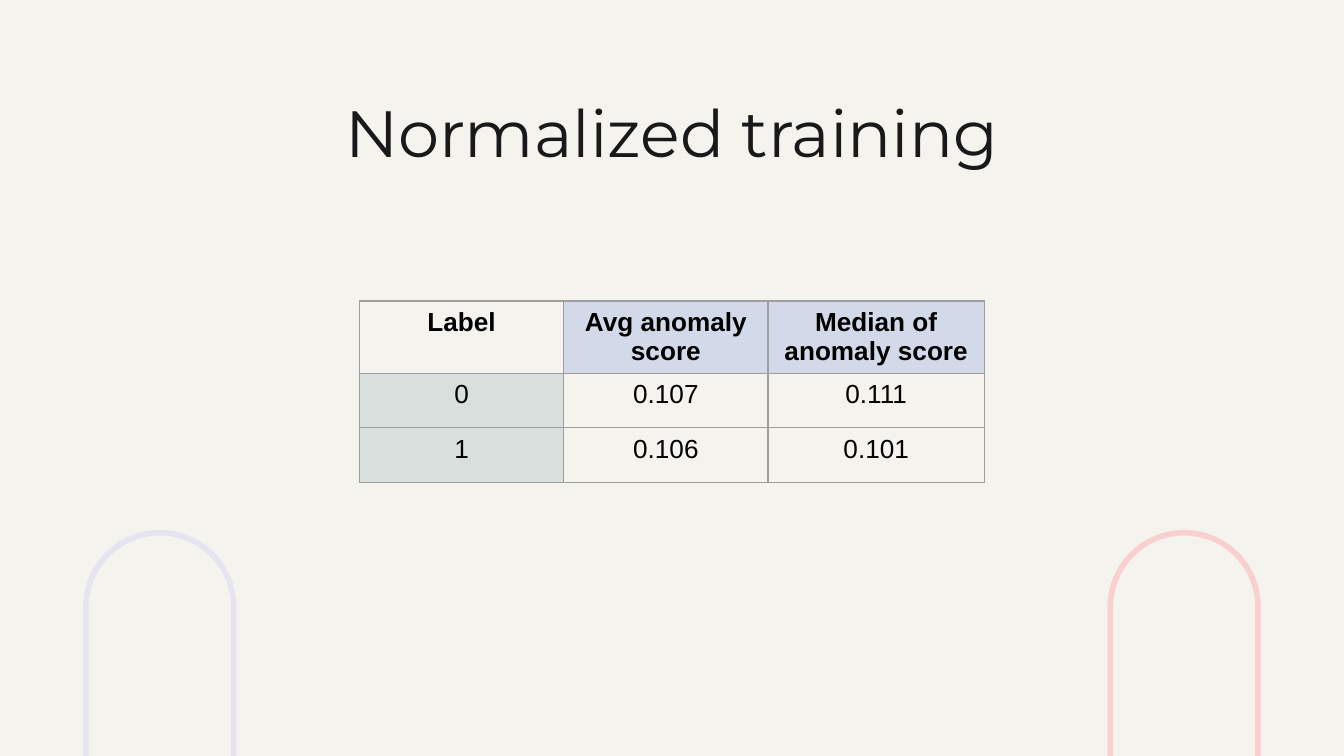
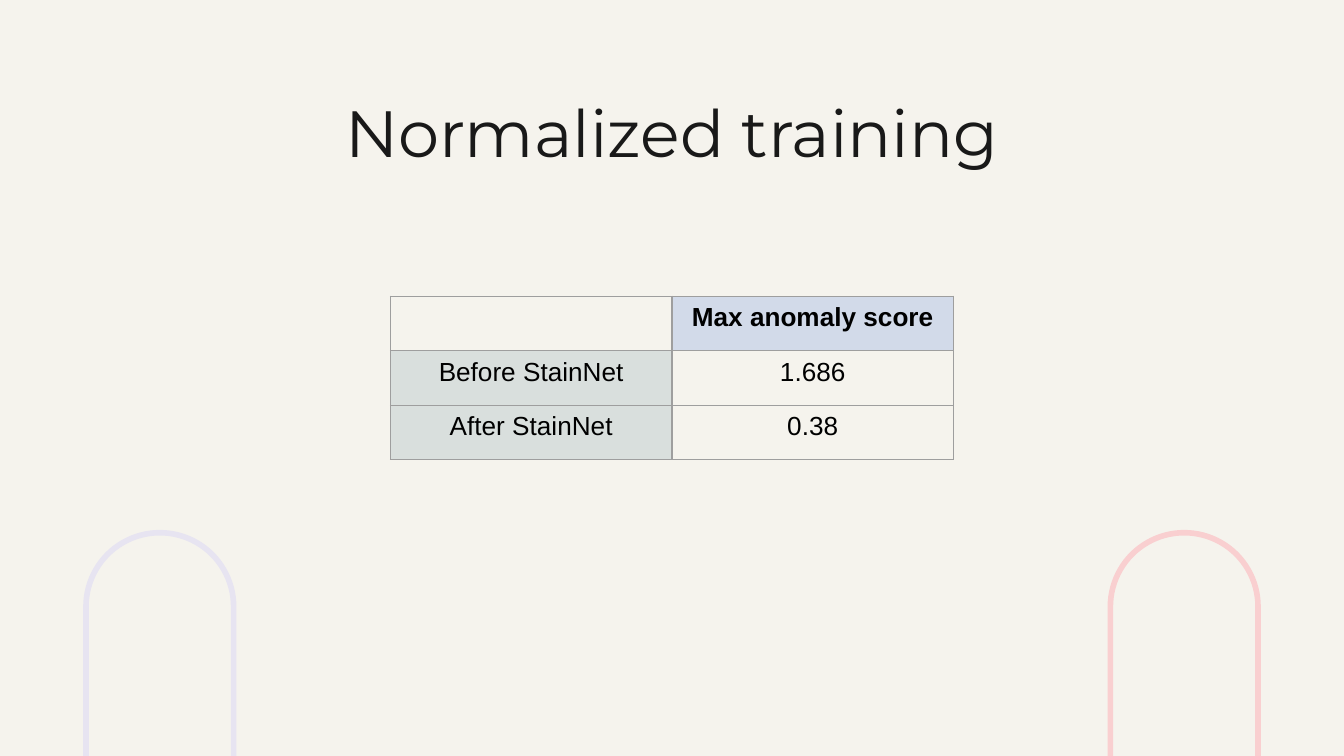
"""Build two slides of anomaly score tables for normalized training."""
from lxml import etree
from pptx import Presentation
from pptx.dml.color import RGBColor
from pptx.enum import shapes, text
from pptx.oxml import ns
from pptx.util import Cm, Pt

PAPER = RGBColor(0xF5, 0xF3, 0xED)
INK = RGBColor(0x19, 0x19, 0x19)
BLACK = RGBColor(0x00, 0x00, 0x00)
LILAC = RGBColor(0xE7, 0xE4, 0xF1)
PINK = RGBColor(0xF9, 0xCF, 0xD0)
BLUE = RGBColor(0xD2, 0xDA, 0xE9)
SAGE = RGBColor(0xD9, 0xDF, 0xDD)
GREY = RGBColor(0x9E, 0x9E, 0x9E)
WIDE, HIGH = 25.4, 14.29


class Deck:
    """Hold the style and the current slide."""

    def __init__(self):
        self.prs = Presentation()
        self.prs.slide_width, self.prs.slide_height = Cm(WIDE), Cm(HIGH)
        fill = self.prs.slide_master.background.fill
        fill.solid()
        fill.fore_color.rgb = PAPER

    def slide(self, title):
        """Start a slide with its arches and title."""
        self.page = self.prs.slides.add_slide(self.prs.slide_layouts[5])
        self.arch(3.02, LILAC)
        self.arch(WIDE - 3.02, PINK)
        self.title(title)

    def arch(self, mid, color):
        """Draw an upright pill that runs off the bottom edge."""
        long, thick = 7.09, 2.79
        pill = self.page.shapes.add_shape(
            shapes.MSO_SHAPE.ROUNDED_RECTANGLE,
            Cm(mid - long / 2), Cm(12.22), Cm(long), Cm(thick))
        pill.adjustments[0] = 0.5
        pill.rotation = 90
        pill.shadow.inherit = False
        pill.fill.background()
        pill.line.color.rgb = color
        pill.line.width = Pt(3)

    def title(self, words):
        """Fill the title placeholder."""
        box = self.page.shapes.title
        box.left, box.top, box.width, box.height = Cm(2), Cm(1.5), Cm(21.4), Cm(1.6)
        frame = box.text_frame
        frame.text = words
        frame.auto_size = text.MSO_AUTO_SIZE.NONE
        frame.vertical_anchor = text.MSO_ANCHOR.TOP
        frame.margin_left = frame.margin_right = Cm(0.25)
        frame.margin_top = frame.margin_bottom = Cm(0.25)
        self.format(frame, "Montserrat", 35, INK)

    def format(self, frame, name, size, color, bold=False):
        """Centre the text and set its font."""
        for para in frame.paragraphs:
            para.alignment = text.PP_ALIGN.CENTER
            for run in para.runs:
                font = run.font
                font.name, font.size, font.bold = name, Pt(size), bold
                font.color.rgb = color

    def table(self, top, cols, rows):
        """Add a centred table with a head row and a label column."""
        tall, width = 1.03, sum(cols)
        grid = self.page.shapes.add_table(
            len(rows), len(cols), Cm((WIDE - width) / 2), Cm(top),
            Cm(width), Cm(tall * len(rows))).table
        grid.first_row = grid.horz_banding = False
        for col, size in zip(grid.columns, cols):
            col.width = Cm(size)
        for r, row in enumerate(rows):
            grid.rows[r].height = Cm(tall)
            for c, words in enumerate(row):
                cell = grid.cell(r, c)
                cell.text = words
                self.format(cell.text_frame, "Arial", 14, BLACK, r == 0)
                self.border(cell)
                if (r == 0) == (c == 0):
                    cell.fill.background()
                else:
                    cell.fill.solid()
                    cell.fill.fore_color.rgb = SAGE if r else BLUE

    def border(self, cell):
        """Rule all four sides of a cell."""
        props = cell._tc.get_or_add_tcPr()
        for side in "LRTB":
            line = etree.SubElement(props, ns.qn("a:ln" + side), w=str(Pt(0.75)))
            fill = etree.SubElement(line, ns.qn("a:solidFill"))
            etree.SubElement(fill, ns.qn("a:srgbClr"), val=str(GREY))


def main():
    """Build and save the deck."""
    deck = Deck()
    head = "Normalized training"
    deck.slide(head)
    deck.table(5.69, [3.86, 3.86, 4.09], [
        ["Label", "Avg anomaly score", "Median of anomaly score"],
        ["0", "0.107", "0.111"],
        ["1", "0.106", "0.101"],
    ])
    deck.slide(head)
    deck.table(5.6, [5.32, 5.32], [
        ["", "Max anomaly score"],
        ["Before StainNet", "1.686"],
        ["After StainNet", "0.38"],
    ])
    deck.prs.save("out.pptx")


if __name__ == "__main__":
    main()
